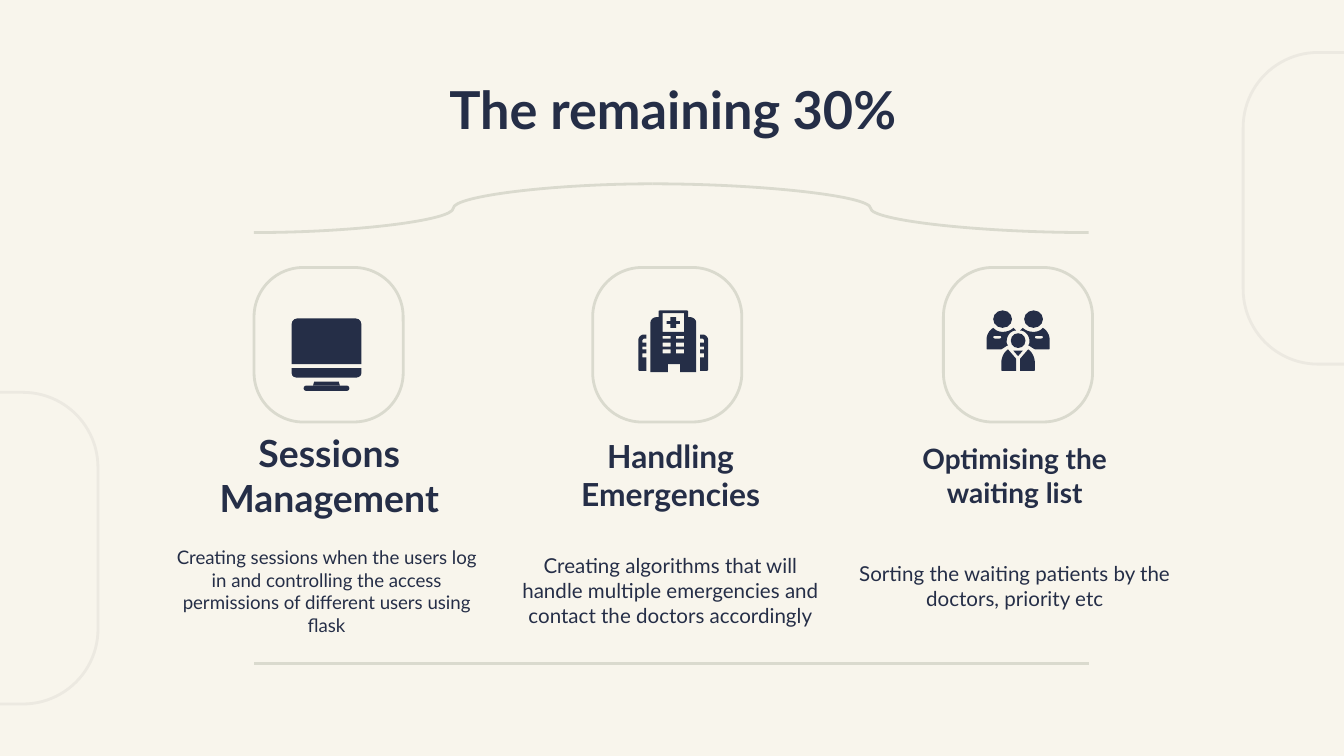
"""Build a slide on the remaining 30% of the work: three cards under a curved brace."""
from dataclasses import dataclass

from lxml.etree import SubElement
from pptx import Presentation
from pptx.dml.color import RGBColor
from pptx.enum.shapes import MSO_CONNECTOR, MSO_SHAPE
from pptx.enum.text import MSO_ANCHOR, MSO_AUTO_SIZE, PP_ALIGN
from pptx.oxml.ns import qn
from pptx.util import Pt


@dataclass(frozen=True)
class Theme:
    paper: RGBColor = RGBColor(0xF8, 0xF5, 0xEC)
    ink: RGBColor = RGBColor(0x25, 0x2E, 0x47)
    rule: RGBColor = RGBColor(0xDA, 0xDA, 0xCE)
    pale: RGBColor = RGBColor(0xEC, 0xE9, 0xE1)
    font: str = "Lato"
    title_size: int = 28
    heading_sizes: tuple = (20, 17, 15)
    body_sizes: tuple = (10, 11, 11)
    line_width: float = 1.5


THEME = Theme()
TITLE = "The remaining 30%"
TITLE_BOX = (56.9, 35.3, 607, 45.4)
CARDS = [
    {"heading": "Sessions Management", "frame_left": 136.1, "heading_left": 94.3,
     "body_left": 83.5, "body_top": 277.9,
     "body": "Creating sessions when the users log in and controlling the access "
             "permissions of different users using flask"},
    {"heading": "Handling Emergencies", "frame_left": 317.5, "heading_left": 277.2,
     "body_left": 267.8, "body_top": 277.2,
     "body": "Creating algorithms that will handle multiple emergencies and contact "
             "the doctors accordingly"},
    {"heading": "Optimising the waiting list", "frame_left": 505.4, "heading_left": 461.5,
     "body_left": 452.2, "body_top": 272.2,
     "body": "Sorting the waiting patients by the doctors, priority etc"},
]
BODY_BOTTOM = 355.2
SIDE_FRAMES = [(-81.4, 210.2, 133.9, 167), (666, 28.1, 133.9, 167)]
LEFT, MIDDLE, RIGHT = 136.1, 349.6, 583.2
BRACE_LOW, BRACE_HIGH, BASELINE = 124.6, 98.5, 355.5

UNIT = 0.72
STEPS = 8


def mirror(contours, span):
    """Reflect contours left to right inside a span."""
    return [[tuple(span - value if i % 2 == 0 else value for i, value in enumerate(node))
             for node in contour] for contour in contours]


def rectangle(left, top, right, bottom):
    return [(left, top), (right, top), (right, bottom), (left, bottom)]


WING = [[(4, 18), (2, 18, 0, 20, 0, 22), (0, 44), (0, 45, 1, 45, 1, 45), (6, 45), (6, 35),
         (3, 35), (3, 32), (6, 32), (6, 29), (3, 29), (3, 27), (6, 27), (6, 24), (3, 24),
         (3, 22), (3, 22, 4, 21, 4, 21), (6, 21), (6, 18)]]
TOWER = [[(17, 0), (16, 0, 15, 0, 15, 1), (15, 5), (14, 5), (11, 5, 9, 7, 9, 9), (9, 46),
          (22, 46), (22, 40), (31, 40), (31, 46), (43, 46), (43, 9), (43, 7, 41, 5, 38, 5),
          (37, 5), (37, 1), (37, 0, 36, 0, 35, 0)],
         rectangle(18, 2, 34, 16)]
TOWER += [rectangle(left, top, left + 6, bottom)
          for top, bottom in ((19, 21), (24, 27), (29, 32)) for left in (18, 28)]
COAT = [[(16, 29), (13, 31, 11, 35, 11, 39), (11, 44), (11, 45, 11, 45, 12, 45),
         (22, 45), (22, 36)]]
SHOULDERS = [[(5, 13), (2, 15, 0, 18, 0, 22), (0, 28), (0, 29, 0, 29, 1, 29), (11, 29),
              (13, 28, 14, 27, 16, 26), (15, 25, 15, 24, 15, 23), (15, 19, 18, 15, 22, 15),
              (21, 14, 20, 13, 20, 13), (18, 15, 15, 16, 12, 16), (9, 16, 7, 15, 5, 13)],
             [(9, 19), (10, 19, 11, 19, 11, 20), (11, 21, 10, 21, 9, 21), (7, 21),
              (6, 21, 5, 21, 5, 20), (5, 19, 6, 19, 7, 19)]]
COLLAR = [[(20, 30), (23.5, 34), (27, 30)]]

ICONS = [
    {"origin": (156.2, 170.6), "outlines": [],
     "presets": [(MSO_SHAPE.TRAPEZOID, (7, 47, 20 - 1, 3), (0.3,)),
                 (MSO_SHAPE.ROUNDED_RECTANGLE, (9, 50, 34, 4), (0.5,)),
                 (MSO_SHAPE.ROUND_2_SAME_RECTANGLE, (0, 37, 52, 7), (0, 0.5)),
                 (MSO_SHAPE.ROUND_2_SAME_RECTANGLE, (0, 0, 52, 34), (0.13, 0))]},
    {"origin": (342, 166.3), "outlines": [WING, mirror(WING, 52), TOWER],
     "presets": [(MSO_SHAPE.CROSS, (21, 5, 10, 8), (0.36,))]},
    {"origin": (528.5, 166.3),
     "outlines": [COLLAR, COAT, mirror(COAT, 47), SHOULDERS, mirror(SHOULDERS, 47)],
     "presets": [(MSO_SHAPE.OVAL, (18, 17, 11, 11), ()),
                 (MSO_SHAPE.OVAL, (5, 0, 14, 13), ()),
                 (MSO_SHAPE.OVAL, (28, 0, 14, 13), ())]},
]
ICONS[0]["presets"][0] = (MSO_SHAPE.TRAPEZOID, (16, 47, 20, 3), (0.3,))


def points(*lengths):
    return [Pt(length) for length in lengths]


def flatten(contour):
    """Turn corner and cubic nodes into points on a fine grid."""
    track = []
    for node in contour:
        if len(node) == 2:
            track.append(node)
            continue
        corners = [track[-1], node[:2], node[2:4], node[4:]]
        for step in range(1, STEPS + 1):
            t = step / STEPS
            weights = ((1 - t) ** 3, 3 * t * (1 - t) ** 2, 3 * t * t * (1 - t), t ** 3)
            track.append(tuple(sum(w * corner[axis] for w, corner in zip(weights, corners))
                               for axis in (0, 1)))
    return [(x * 100, y * 100) for x, y in track]


def paint(shape):
    shape.shadow.inherit = False
    shape.fill.solid()
    shape.fill.fore_color.rgb = THEME.ink
    shape.line.fill.background()


def draw_icon(page, icon):
    group = page.shapes.add_group_shape()
    left, top = icon["origin"]
    for outline in icon["outlines"]:
        first, *others = [flatten(contour) for contour in outline]
        builder = group.shapes.build_freeform(*first[0], scale=Pt(UNIT) / 100)
        builder.add_line_segments(first[1:], close=True)
        for track in others:
            builder.move_to(*track[0])
            builder.add_line_segments(track[1:], close=True)
        paint(builder.convert_to_shape(*points(left, top)))
    for preset, (x, y, width, height), adjustments in icon["presets"]:
        shape = group.shapes.add_shape(preset, *points(
            left + x * UNIT, top + y * UNIT, width * UNIT, height * UNIT))
        for i, value in enumerate(adjustments):
            shape.adjustments[i] = value
        paint(shape)


def draw_frame(page, place, color, corner):
    frame = page.shapes.add_shape(MSO_SHAPE.ROUNDED_RECTANGLE, *points(*place))
    frame.adjustments[0] = corner
    frame.shadow.inherit = False
    frame.fill.background()
    frame.line.color.rgb = color
    frame.line.width = Pt(THEME.line_width)


def draw_line(shapes, kind, *ends):
    line = shapes.add_connector(kind, *points(*ends))
    line.line.color.rgb = THEME.rule
    line.line.width = Pt(THEME.line_width)
    SubElement(line._element.spPr, qn("a:effectLst"))


def write(box, place, text, size, bold=False):
    box.left, box.top, box.width, box.height = points(*place)
    frame = box.text_frame
    frame.word_wrap = True
    frame.auto_size = MSO_AUTO_SIZE.NONE
    frame.vertical_anchor = MSO_ANCHOR.MIDDLE
    frame.margin_left = frame.margin_top = frame.margin_right = frame.margin_bottom = Pt(7.2)
    para = frame.paragraphs[0]
    para.alignment = PP_ALIGN.CENTER
    span = para.add_run()
    span.text = text
    span.font.name, span.font.size, span.font.bold = THEME.font, Pt(size), bold
    span.font.color.rgb = THEME.ink


def main():
    deck = Presentation()
    deck.slide_width, deck.slide_height = points(720, 405)
    page = deck.slides.add_slide(deck.slide_layouts[5])
    page.background.fill.solid()
    page.background.fill.fore_color.rgb = THEME.paper
    for place in SIDE_FRAMES:
        draw_frame(page, place, THEME.pale, 0.3)
    write(page.shapes.title, TITLE_BOX, TITLE, THEME.title_size, bold=True)
    for card, icon, heading_size, body_size in zip(
            CARDS, ICONS, THEME.heading_sizes, THEME.body_sizes):
        draw_frame(page, (card["frame_left"], 143.3, 79.9, 82.8), THEME.rule, 0.33)
        draw_icon(page, icon)
        write(page.shapes.add_textbox(0, 0, 0, 0), (card["heading_left"], 240.5, 164.2, 28.1),
              card["heading"], heading_size, bold=True)
        top = card["body_top"]
        write(page.shapes.add_textbox(0, 0, 0, 0),
              (card["body_left"], top, 182.9, BODY_BOTTOM - top), card["body"], body_size)
    draw_line(page.shapes, MSO_CONNECTOR.STRAIGHT, LEFT, BASELINE, RIGHT, BASELINE)
    brace = page.shapes.add_group_shape()
    for end in (LEFT, RIGHT):
        draw_line(brace.shapes, MSO_CONNECTOR.CURVE, end, BRACE_LOW, MIDDLE, BRACE_HIGH)
    deck.save("out.pptx")


if __name__ == "__main__":
    main()
